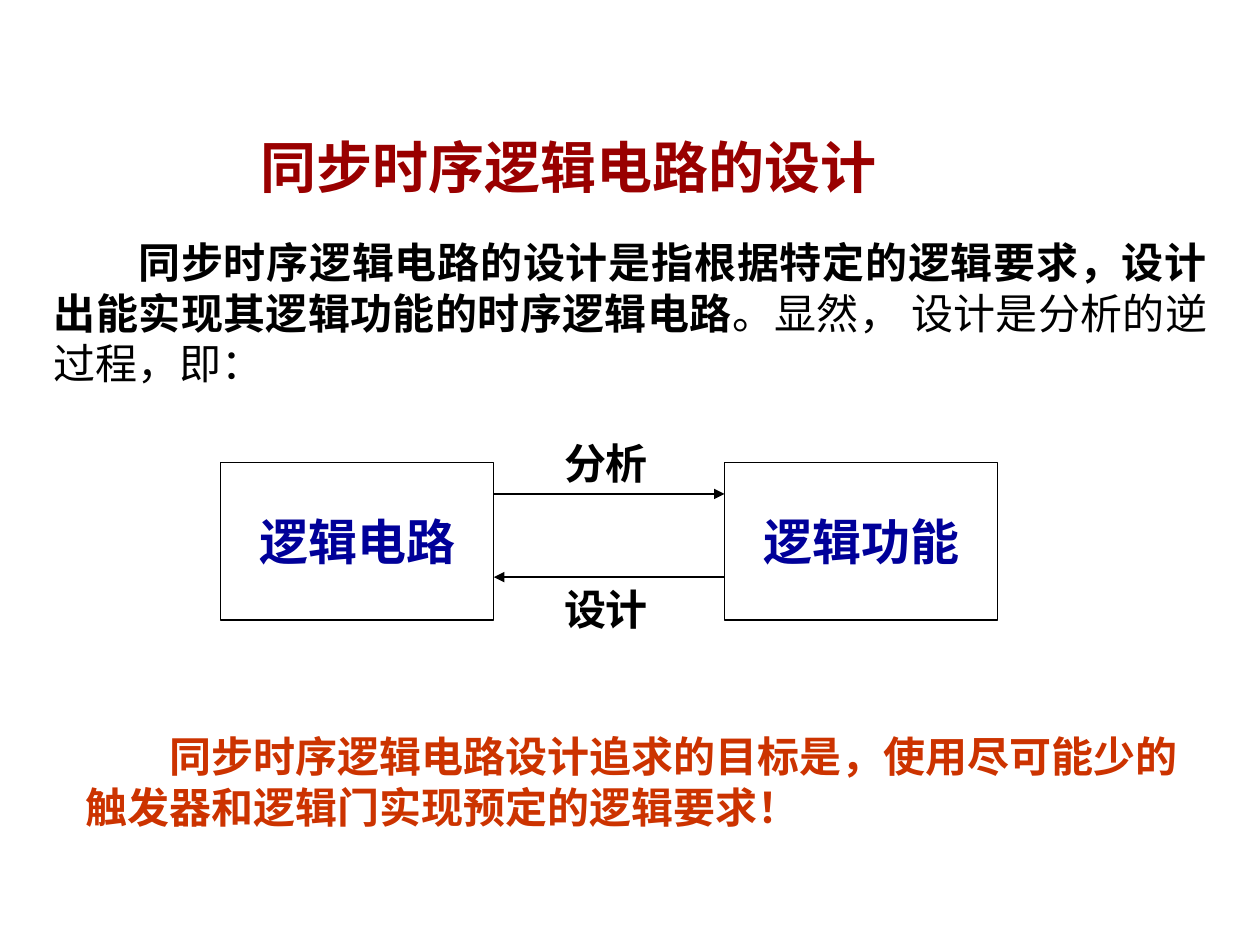
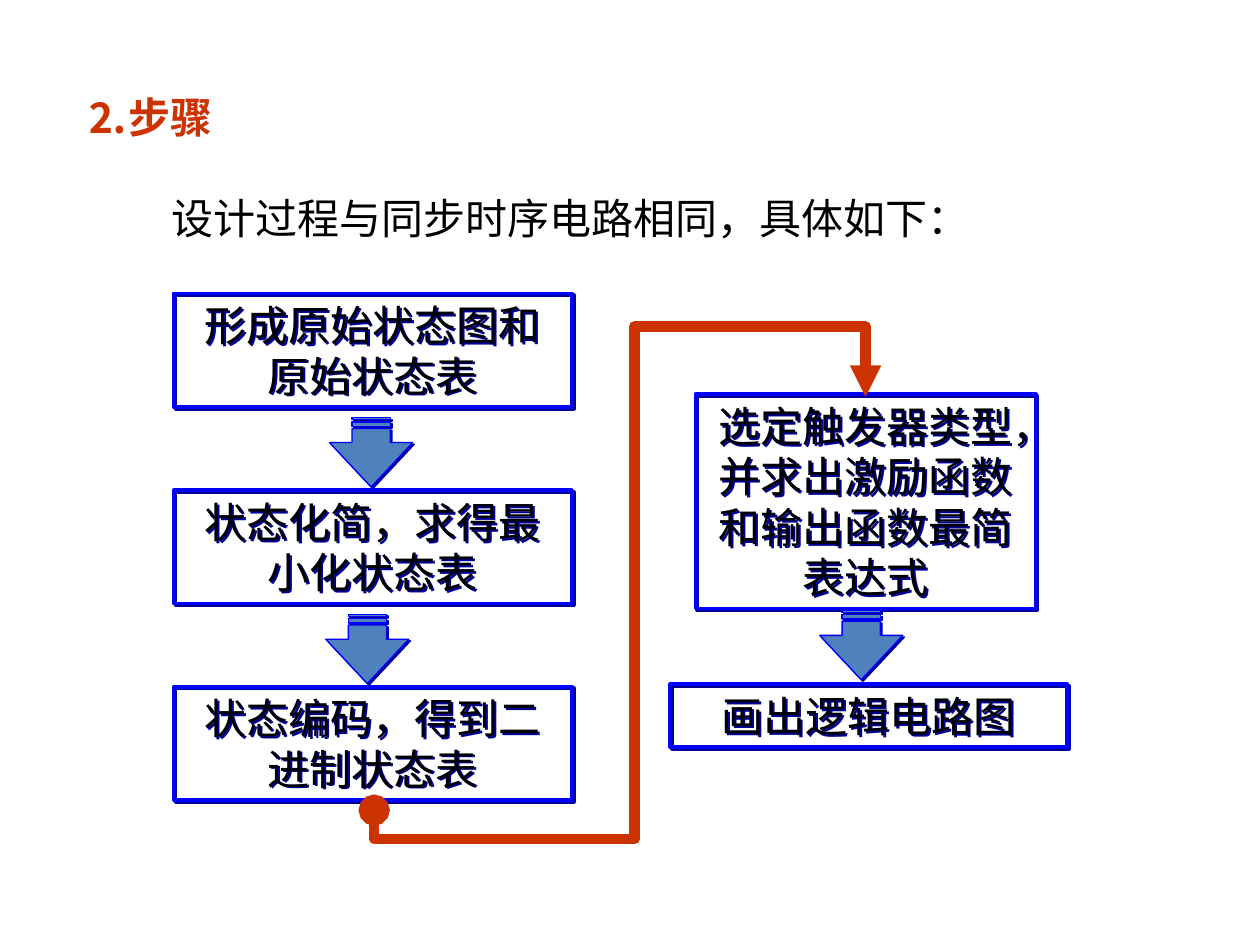
from lxml import etree
from pptx import Presentation
from pptx.dml.color import RGBColor as RGB
from pptx.enum.shapes import MSO_CONNECTOR as CONN, MSO_SHAPE as SHAPE
from pptx.enum.text import MSO_ANCHOR as ANCHOR, PP_ALIGN as ALIGN
from pptx.oxml.ns import qn
from pptx.util import Inches, Pt

COLORS = {
    "title": "990000", "accent": "CC3300", "label": "000099", "text": "000000",
    "border": "0000FF", "shadow": "000099", "arrow": "4F81BD",
}
FONT = {"name": "Times New Roman", "size": Pt(24), "bold": False}
INDENT = 0.67


def rgb(name):
    return RGB.from_string(COLORS[name])


def inches(*values):
    return [Inches(v) for v in values]


def add_run(p, text, color="text", **style):
    r = p.add_run()
    r.text = text
    for key, value in {**FONT, **style}.items():
        setattr(r.font, key, value)
    r.font.color.rgb = rgb(color)


def format_paragraph(p, indent=0, **style):
    for key, value in style.items():
        setattr(p, key, value)
    if indent:
        p._p.get_or_add_pPr().set("indent", str(Inches(indent)))


def add_text(slide, box, runs, **style):
    tf = slide.shapes.add_textbox(*inches(*box)).text_frame
    tf.word_wrap = True
    p = tf.paragraphs[0]
    format_paragraph(p, **style)
    for text, run_style in runs:
        add_run(p, text, **run_style)
    return tf


def add_rect(slide, box, text, line, width, anchor, **style):
    s = slide.shapes.add_shape(SHAPE.RECTANGLE, *inches(*box))
    s.shadow.inherit = False
    s.fill.background()
    s.line.color.rgb = rgb(line)
    s.line.width = Pt(width)
    tf = s.text_frame
    tf.word_wrap = True
    tf.vertical_anchor = anchor
    p = tf.paragraphs[0]
    p.alignment = ALIGN.CENTER
    add_run(p, text, **style)
    return s


def add_shadow(s):
    s.shadow.inherit = False
    effects = s._element.spPr.find(qn("a:effectLst"))
    shadow = etree.SubElement(effects, qn("a:outerShdw"), dist=str(Pt(1.4)),
                              dir="2700000", algn="ctr", rotWithShape="0")
    etree.SubElement(shadow, qn("a:srgbClr"), val=COLORS["shadow"])


def add_line(slide, kind, start, end, color, width, **ends):
    c = slide.shapes.add_connector(kind, *inches(*start, *end))
    c.line.color.rgb = rgb(color)
    c.line.width = Pt(width)
    ln = c.line._get_or_add_ln()
    for tag, shape in ends.items():
        etree.SubElement(ln, qn(f"a:{tag}"), type=shape)
    etree.SubElement(c._element.spPr, qn("a:effectLst"))
    return c


def analysis_design_diagram(slide, left, top):
    width, height, gap = 2.17, 1.25, 1.83
    for i, name in enumerate(["逻辑电路", "逻辑功能"]):
        add_rect(slide, (left + i * (width + gap), top, width, height), name,
                 "text", 0.75, ANCHOR.MIDDLE, color="label", size=Pt(28), bold=True)
    x1, x2 = left + width, left + width + gap
    arrows = [("分析", x1, x2, 0.25, -0.25), ("设计", x2, x1, 0.91, 0.91)]
    for name, start, end, y, label_y in arrows:
        add_line(slide, CONN.STRAIGHT, (start, top + y), (end, top + y),
                 "text", 1.5, tailEnd="triangle")
        add_text(slide, (x1 + 0.39, top + label_y, 1, 0.5),
                 [(name, {"bold": True})], alignment=ALIGN.CENTER)


def definition_slide(prs):
    slide = prs.slides.add_slide(prs.slide_layouts[6])
    add_text(slide, (1.97, 1, 5.19, 0.64),
             [("同步时序逻辑电路的设计", {"color": "title", "size": Pt(32), "bold": True})])
    add_text(slide, (0.33, 1.83, 9.35, 1.3), [
        ("同步时序逻辑电路的设计是指根据特定的逻辑要求，设计出能实现其逻辑功能的时序逻辑电路", {"bold": True}),
        ("。显然， 设计是分析的逆过程，即：", {}),
    ], indent=INDENT, alignment=ALIGN.JUSTIFY)
    add_text(slide, (0.58, 5.75, 9.17, 0.9), [
        ("同步时序逻辑电路设计追求的目标是，使用尽可能少的触发器和逻辑门实现预定的逻辑要求！",
         {"color": "accent", "bold": True}),
    ], indent=INDENT)
    analysis_design_diagram(slide, 1.75, 3.67)


def step_box(slide, box, text, font="Arial"):
    add_shadow(add_rect(slide, box, text, "border", 2.25, ANCHOR.TOP, name=font))


def down_arrow(slide, left, top):
    s = slide.shapes.add_shape(SHAPE.STRIPED_RIGHT_ARROW, *inches(left, top, 0.55, 0.66))
    s.rotation = 90
    s.adjustments[0], s.adjustments[1] = 0.46, 0.64
    s.fill.solid()
    s.fill.fore_color.rgb = rgb("arrow")
    s.line.color.rgb = rgb("border")
    s.line.width = Pt(0.75)
    add_shadow(s)


def column_link(slide, left, top, width, height):
    c = add_line(slide, CONN.ELBOW, (left + width, top + height), (left, top),
                 "accent", 6, headEnd="oval", tailEnd="triangle")
    sp_pr = c._element.spPr
    sp_pr.find(qn("a:xfrm")).set("rot", str(90 * 60000))
    geom = sp_pr.find(qn("a:prstGeom"))
    geom.set("prst", "bentConnector5")
    guides = geom.find(qn("a:avLst"))
    for i, value in enumerate([-0.07, 0.53, 1.17], 1):
        etree.SubElement(guides, qn("a:gd"), name=f"adj{i}", fmla=f"val {round(value * 100000)}")


def first_column(slide, left, top):
    pitch = 1.56
    steps = [("形成原始状态图和原始状态表", "Times New Roman"),
             ("状态化简，求得最小化状态表", "Arial"),
             ("状态编码，得到二进制状态表", "Arial")]
    for i, (text, font) in enumerate(steps):
        step_box(slide, (left, top + i * pitch, 3.16, 0.9), text, font)
    for i in range(len(steps) - 1):
        down_arrow(slide, left + 1.29 - i * 0.03, top + 0.93 + i * pitch)


def second_column(slide, left, top):
    step_box(slide, (left + 0.2, top, 2.7, 1.7), "选定触发器类型，并求出激励函数和输出函数最简表达式")
    step_box(slide, (left, top + 2.3, 3.15, 0.5), "画出逻辑电路图")
    down_arrow(slide, left + 1.24, top + 1.66)


def steps_slide(prs):
    slide = prs.slides.add_slide(prs.slide_layouts[6])
    first_column(slide, 1.38, 2.33)
    second_column(slide, 5.32, 3.13)
    column_link(slide, 3.28, 2.84, 3.28, 3.9)
    tf = add_text(slide, (0.59, 0.68, 7.2, 1.3),
                  [("⒉步骤", {"color": "accent", "bold": True})])
    p = tf.add_paragraph()
    format_paragraph(p, indent=INDENT, space_before=Pt(29))
    add_run(p, "设计过程与同步时序电路相同，具体如下：")


def main():
    prs = Presentation()
    prs.slide_width, prs.slide_height = inches(10, 7.5)
    definition_slide(prs)
    steps_slide(prs)
    prs.save("out.pptx")


if __name__ == "__main__":
    main()
